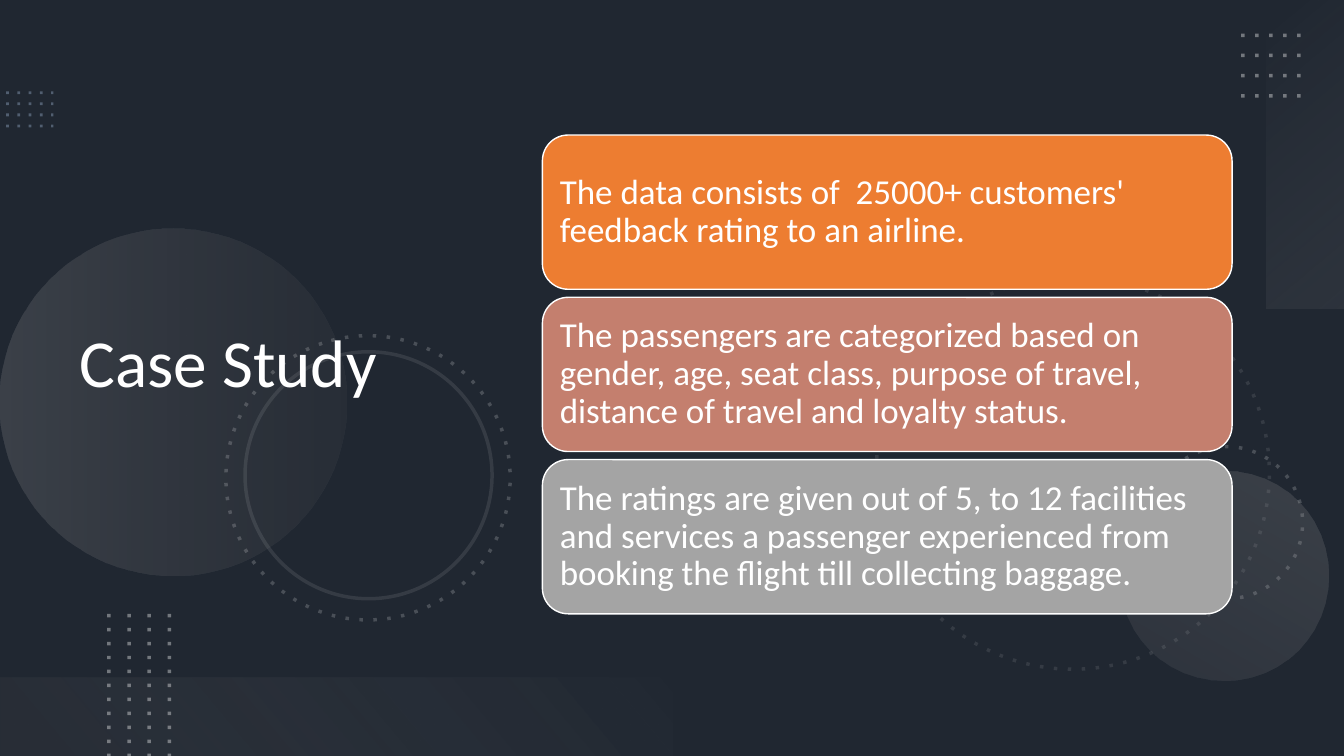
from lxml import etree
from pptx import Presentation
from pptx import util as u
from pptx.dml.color import RGBColor
from pptx.enum import dml, shapes, text
from pptx.oxml.ns import qn

COLORS = {
    "slate": "44546A", "black": "000000", "white": "FFFFFF",
    "blue_gray": "8296B0", "pale": "EFEFEF", "mist": "F5F4F4",
    "silver": "AEABAB", "gray": "757070",
    "orange": "ED7D31", "rose": "C47F6E", "ash": "A4A4A4",
}


class SlideStyle:
    font = "Calibri"

    def __init__(self, slide):
        self.slide = slide

    def rgb(self, color):
        return RGBColor.from_string(COLORS[color])

    def set_alpha(self, parent, percent):
        for tone in parent.iter(qn("a:srgbClr")):
            etree.SubElement(tone, qn("a:alpha"), val=str(percent * 1000))

    def stroke(self, item, color, width, alpha=100, dotted=False):
        item.line.color.rgb = self.rgb(color)
        item.line.width = u.Pt(width)
        outline = item.element.spPr.find(qn("a:ln"))
        if dotted:
            item.line.dash_style = dml.MSO_LINE.ROUND_DOT
            outline.find(qn("a:prstDash")).set("val", "dot")
        if alpha < 100:
            self.set_alpha(outline, alpha)

    def shape(self, kind, box, fill=None, alpha=100, rotation=0):
        item = self.slide.shapes.add_shape(kind, *map(u.Inches, box))
        item.shadow.inherit = False
        item.rotation = rotation
        item.line.fill.background()
        if fill:
            item.fill.solid()
            item.fill.fore_color.rgb = self.rgb(fill)
            if alpha < 100:
                self.set_alpha(item.element.spPr.find(qn("a:solidFill")), alpha)
        else:
            item.fill.background()
        return item

    def gradient(self, kind, box, rotation, stops, angle):
        item = self.shape(kind, box, rotation=rotation)
        blend = etree.Element(qn("a:gradFill"), rotWithShape="1")
        stop_list = etree.SubElement(blend, qn("a:gsLst"))
        for position, color, alpha in stops:
            stop = etree.SubElement(stop_list, qn("a:gs"), pos=str(position * 1000))
            etree.SubElement(stop, qn("a:srgbClr"), val=COLORS[color])
            self.set_alpha(stop, alpha)
        etree.SubElement(blend, qn("a:lin"), ang=str(angle * 60000), scaled="0")
        properties = item.element.spPr
        properties.replace(properties.find(qn("a:noFill")), blend)

    def ring(self, left, top, size, rotation, alpha, dotted=True):
        circle = self.shape(shapes.MSO_SHAPE.OVAL, (left, top, size, size), rotation=rotation)
        self.stroke(circle, "pale", 2.5, alpha, dotted)

    def dotted_line(self, start, end, color, width, alpha):
        dots = self.slide.shapes.add_connector(
            shapes.MSO_CONNECTOR.STRAIGHT, *map(u.Inches, (*start, *end)))
        self.stroke(dots, color, width, alpha, dotted=True)
        etree.SubElement(dots.element.spPr, qn("a:effectLst"))

    def add_words(self, frame, words, size, side=0.1, edge=0.1):
        frame.word_wrap = True
        frame.vertical_anchor = text.MSO_ANCHOR.MIDDLE
        frame.margin_left = frame.margin_right = u.Inches(side)
        frame.margin_top = frame.margin_bottom = u.Inches(edge)
        paragraph = frame.paragraphs[0]
        paragraph.alignment = text.PP_ALIGN.LEFT
        paragraph.line_spacing = 0.9
        run = paragraph.add_run()
        run.text = words
        run.font.name = self.font
        run.font.size = u.Pt(size)
        run.font.color.rgb = self.rgb("white")

    def title(self, box, words):
        heading = self.slide.shapes.add_textbox(*map(u.Inches, box))
        self.add_words(heading.text_frame, words, 48, edge=0.05)

    def card(self, box, fill, words):
        panel = self.shape(shapes.MSO_SHAPE.ROUNDED_RECTANGLE, box, fill)
        panel.adjustments[0] = 0.167
        self.stroke(panel, "white", 1)
        self.add_words(panel.text_frame, words, 25)


def main():
    deck = Presentation()
    deck.slide_width, deck.slide_height = u.Inches(13.33), u.Inches(7.5)
    slide = deck.slides.add_slide(deck.slide_layouts[6])
    style = SlideStyle(slide)
    oval, rectangle = shapes.MSO_SHAPE.OVAL, shapes.MSO_SHAPE.RECTANGLE

    slide.background.fill.solid()
    slide.background.fill.fore_color.rgb = style.rgb("slate")
    style.shape(rectangle, (0, 0, 13.33, 7.5), "black", 53)

    for row in range(4):
        y = 1.25 - 0.11 * row
        style.dotted_line((0.06, y), (0.53, y), "blue_gray", 2, 50)

    style.ring(8.69, 2.74, 3.9, 75, 10)
    style.ring(11.41, 4.43, 1.51, 270, 20)
    style.gradient(oval, (0, 2.27, 3.44, 3.44), 270,
                   [(0, "silver", 20), (100, "gray", 10)], 90)
    style.gradient(oval, (11.1, 4.67, 2.08, 2.08), 210,
                   [(0, "silver", 10), (100, "silver", 20)], 90)
    style.ring(2.24, 3.33, 2.82, 75, 20)
    style.ring(2.43, 3.49, 2.45, 75, 10, dotted=False)

    style.gradient(rectangle, (11.42, 1.14, 3.06, 0.78), 270,
                   [(0, "mist", 0), (100, "silver", 10)], 140)
    for row in range(4):
        y = 0.35 + 0.2 * row
        style.dotted_line((12.31, y), (12.91, y), "pale", 2.5, 40)

    style.gradient(rectangle, (0, 6.72, 6.67, 0.78), 180,
                   [(0, "gray", 10), (10, "gray", 10), (100, "pale", 0)], 140)
    for column in range(4):
        x = 1.68 - 0.2 * column
        style.dotted_line((x, 6.09), (x, 7.5), "pale", 2.5, 40)

    style.title((0.69, 0.54, 4.59, 6.17), "Case Study")

    findings = [
        ("orange", "The data consists of  25000+ customers' feedback rating to an airline."),
        ("rose", "The passengers are categorized based on gender, age, seat class, "
                 "purpose of travel, distance of travel and loyalty status."),
        ("ash", "The ratings are given out of 5, to 12 facilities and services a passenger "
                "experienced from booking the flight till collecting baggage."),
    ]
    for index, (fill, finding) in enumerate(findings):
        style.card((5.38, 1.34 + 1.61 * index, 6.84, 1.53), fill, finding)

    deck.save("out.pptx")


if __name__ == "__main__":
    main()
